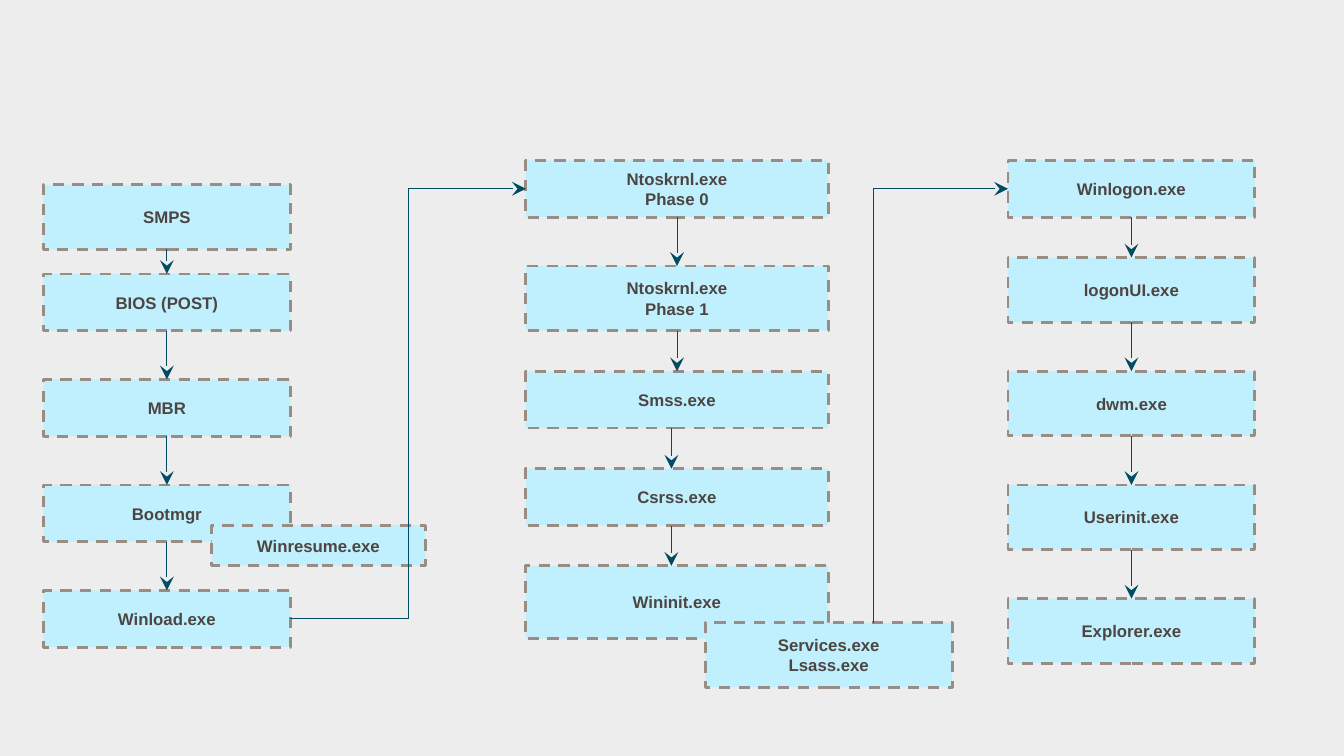
from pptx import Presentation
from pptx.dml.color import RGBColor
from pptx.enum.dml import MSO_LINE
from pptx.enum.shapes import MSO_CONNECTOR, MSO_SHAPE
from pptx.enum.text import MSO_ANCHOR, PP_ALIGN
from pptx.oxml.ns import qn
from pptx.util import Pt
from lxml.etree import SubElement

COLORS = {"back": "EDEDED", "box": "C0F0FE", "border": "998C85",
          "text": "4D4541", "arrow": "004C63"}

# Each column: left, width, boxes as (text, top, height)
COLUMNS = [
    (31, 176.4, [("SMPS", 131.9, 46.2), ("BIOS (POST)", 195.7, 40.6),
                 ("MBR", 271, 40.6), ("Bootmgr", 346.4, 40.6),
                 ("Winload.exe", 421.7, 40.6)]),
    (375.6, 216, [("Ntoskrnl.exe\nPhase 0", 114.6, 40.6),
                  ("Ntoskrnl.exe\nPhase 1", 190, 46.2),
                  ("Smss.exe", 265.2, 40.6), ("Csrss.exe", 334.8, 40.6),
                  ("Wininit.exe", 404.2, 52)]),
    (720, 176.4, [("Winlogon.exe", 114.6, 40.6), ("logonUI.exe", 184, 46.2),
                  ("dwm.exe", 265.2, 46.2), ("Userinit.exe", 346.4, 46.2),
                  ("Explorer.exe", 427.6, 46.2)]),
]
# Box overlapping a main box: main box, text, left, top, width, height
SIDE_BOXES = [("Bootmgr", "Winresume.exe", 151.2, 375.2, 152.6, 28.8),
              ("Wininit.exe", "Services.exe\nLsass.exe", 503.8, 444.8, 176.4, 46.2)]
OFF_CENTRE = {"Smss.exe": -4, "Csrss.exe": -4}  # shift of the arrow below
LOGON_X = 624  # where the line to Winlogon.exe leaves Services.exe


def rgb(name):
    return RGBColor.from_string(COLORS[name])


def add_box(s, text, left, top, width, height):
    sp = s.shapes.add_shape(MSO_SHAPE.RECTANGLE, Pt(left), Pt(top), Pt(width), Pt(height))
    sp.shadow.inherit = False
    sp.fill.solid()
    sp.fill.fore_color.rgb = rgb("box")
    sp.line.color.rgb = rgb("border")
    sp.line.width = Pt(2)
    sp.line.dash_style = MSO_LINE.DASH
    tf = sp.text_frame
    tf.word_wrap = True
    tf.vertical_anchor = MSO_ANCHOR.MIDDLE
    tf.text = text
    for p in tf.paragraphs:
        p.alignment = PP_ALIGN.CENTER
        p.font.name = "Arial"
        p.font.size = Pt(12)
        p.font.bold = True
        p.font.color.rgb = rgb("text")
    return sp


def add_arrow(s, kind, x1, y1, x2, y2):
    """Draw a connector between two points given in EMU."""
    cx = s.shapes.add_connector(kind, x1, y1, x2, y2)
    cx.line.color.rgb = rgb("arrow")
    cx.line.width = Pt(0.75)
    SubElement(cx.line._get_or_add_ln(), qn("a:tailEnd"), type="stealth", w="lg", len="lg")
    SubElement(cx._element.spPr, qn("a:effectLst"))
    return cx


def join(s, kind, start, start_site, end, end_site):
    cx = add_arrow(s, kind, 0, 0, 0, 0)
    cx.begin_connect(start, start_site)
    cx.end_connect(end, end_site)


def add_corner_arrow(s, x, y1, x2, y2):
    """Go up from (x, y1), then right to (x2, y2): a turned two-part elbow."""
    length, depth = y1 - y2, x2 - x
    left = (x + x2 - length) // 2
    top = (y1 + y2 - depth) // 2
    cx = add_arrow(s, MSO_CONNECTOR.ELBOW, left, top, left + length, top + depth)
    spPr = cx._element.spPr
    spPr.find(qn("a:prstGeom")).set("prst", "bentConnector2")
    spPr.find(qn("a:xfrm")).set("rot", str(270 * 60000))


def main():
    prs = Presentation()
    prs.slide_width, prs.slide_height = Pt(960), Pt(540)
    s = prs.slides.add_slide(prs.slide_layouts[6])
    s.background.fill.solid()
    s.background.fill.fore_color.rgb = rgb("back")

    boxes = {text: add_box(s, text, left, top, width, height)
             for left, width, column in COLUMNS for text, top, height in column}
    for main_box, text, *place in SIDE_BOXES:
        boxes[text] = add_box(s, text, *place)
        s.shapes.add_group_shape([boxes[main_box], boxes[text]])

    for _, _, column in COLUMNS:
        names = [text for text, _, _ in column]
        for upper, lower in zip(names, names[1:]):
            a, b = boxes[upper], boxes[lower]
            if upper in OFF_CENTRE:
                x = a.left + a.width // 2 + Pt(OFF_CENTRE[upper])
                add_arrow(s, MSO_CONNECTOR.STRAIGHT, x, a.top + a.height, x, b.top)
            else:
                join(s, MSO_CONNECTOR.STRAIGHT, a, 2, b, 0)

    join(s, MSO_CONNECTOR.ELBOW, boxes["Winload.exe"], 3, boxes["Ntoskrnl.exe\nPhase 0"], 1)
    logon = boxes["Winlogon.exe"]
    add_corner_arrow(s, Pt(LOGON_X), boxes["Services.exe\nLsass.exe"].top,
                     logon.left, logon.top + logon.height // 2)
    prs.save("out.pptx")


if __name__ == "__main__":
    main()
